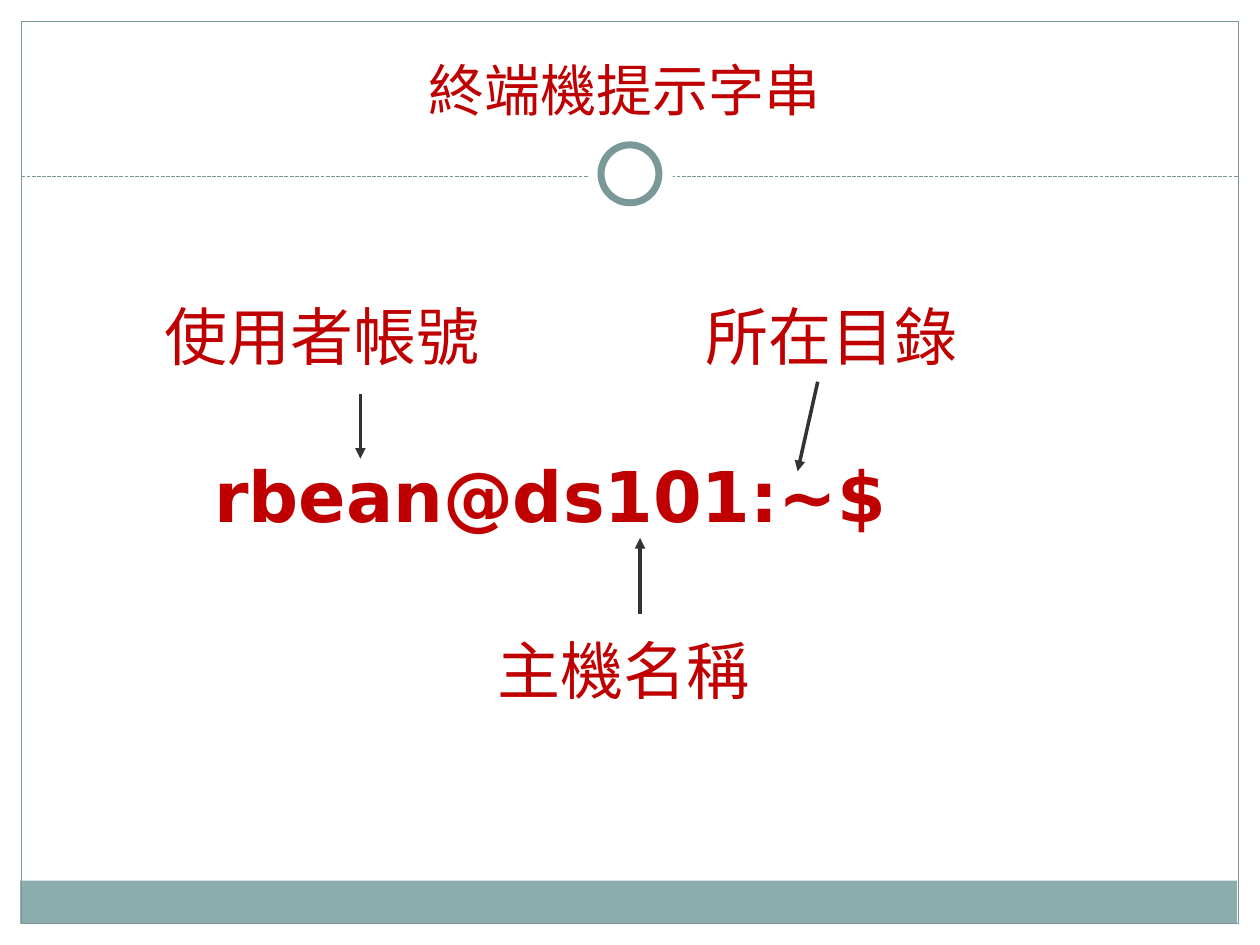
from lxml import etree
from pptx import Presentation
from pptx.dml.color import RGBColor
from pptx.enum import dml, shapes, text
from pptx.oxml import ns
from pptx.util import Inches, Pt

WHITE = RGBColor(0xFF, 0xFF, 0xFF)
TEAL = RGBColor(0x7B, 0x98, 0x99)
BAND = RGBColor(0x8C, 0xAD, 0xAE)
RED = RGBColor(0xC0, 0x00, 0x00)
DARK = RGBColor(0x33, 0x33, 0x33)
CJK = "Noto Sans CJK SC"
LATIN = "DejaVu Sans"

deck = Presentation()
deck.slide_width, deck.slide_height = Inches(10), Inches(7.5)
page = deck.slides.add_slide(deck.slide_layouts[6])


def add_line(start, end, color, width):
    points = [Inches(value) for value in (*start, *end)]
    line = page.shapes.add_connector(shapes.MSO_CONNECTOR.STRAIGHT, *points)
    line.line.color.rgb = color
    line.line.width = Pt(width)
    etree.SubElement(line._element.spPr, ns.qn("a:effectLst"))
    return line


RECT, OVAL = shapes.MSO_SHAPE.RECTANGLE, shapes.MSO_SHAPE.OVAL
divider = add_line((0.17, 1.4), (9.83, 1.4), TEAL, 0.75)
divider.line.dash_style = dml.MSO_LINE.SQUARE_DOT

for kind, frame, fill, width in [
    (RECT, (0.16, 6.99, 9.66, 0.34), BAND, 0),
    (RECT, (0.17, 0.17, 9.66, 7.16), None, 0.75),
    (OVAL, (4.67, 1.05, 0.67, 0.67), WHITE, 0),
    (OVAL, (4.77, 1.15, 0.46, 0.46), WHITE, 4),
]:
    shape = page.shapes.add_shape(kind, *map(Inches, frame))
    shape.shadow.inherit = False
    if fill is None:
        shape.fill.background()
    else:
        shape.fill.solid()
        shape.fill.fore_color.rgb = fill
    if width:
        shape.line.color.rgb = TEAL
        shape.line.width = Pt(width)
    else:
        shape.line.fill.background()

TOP, BOTTOM = text.MSO_ANCHOR.TOP, text.MSO_ANCHOR.BOTTOM
LEFT, CENTER = text.PP_ALIGN.LEFT, text.PP_ALIGN.CENTER
for words, frame, size, font, bold, anchor, align in [
    ("終端機提示字串", (0.91, 0.1, 8.09, 0.92), 32, CJK, False, BOTTOM, CENTER),
    ("rbean@ds101:~$", (1.65, 3.54, 6.5, 0.77), 40, LATIN, True, TOP, LEFT),
    ("使用者帳號", (1.26, 2.31, 3.2, 0.61), 36, CJK, False, TOP, LEFT),
    ("主機名稱", (3.9, 4.96, 2.38, 0.61), 36, CJK, False, TOP, LEFT),
    ("所在目錄", (5.55, 2.31, 2.3, 0.61), 36, CJK, False, TOP, LEFT),
]:
    box = page.shapes.add_textbox(*map(Inches, frame))
    body = box.text_frame
    body.word_wrap = True
    body.vertical_anchor = anchor
    body.margin_left = body.margin_right = Inches(0.05)
    body.margin_top = body.margin_bottom = Inches(0.05)
    body.text = words
    para = body.paragraphs[0]
    para.alignment = align
    span = para.runs[0]
    span.font.size = Pt(size)
    span.font.bold = bold
    span.font.name = font
    span.font.color.rgb = RED
    etree.SubElement(span.font._element, ns.qn("a:ea"), typeface=font)

for start, end in [
    ((2.86, 3.13), (2.86, 3.64)),
    ((6.49, 3.03), (6.33, 3.74)),
    ((5.08, 4.87), (5.08, 4.27)),
]:
    arrow = add_line(start, end, DARK, 2)
    etree.SubElement(arrow.line._get_or_add_ln(), ns.qn("a:tailEnd"), type="triangle")

deck.save("out.pptx")
